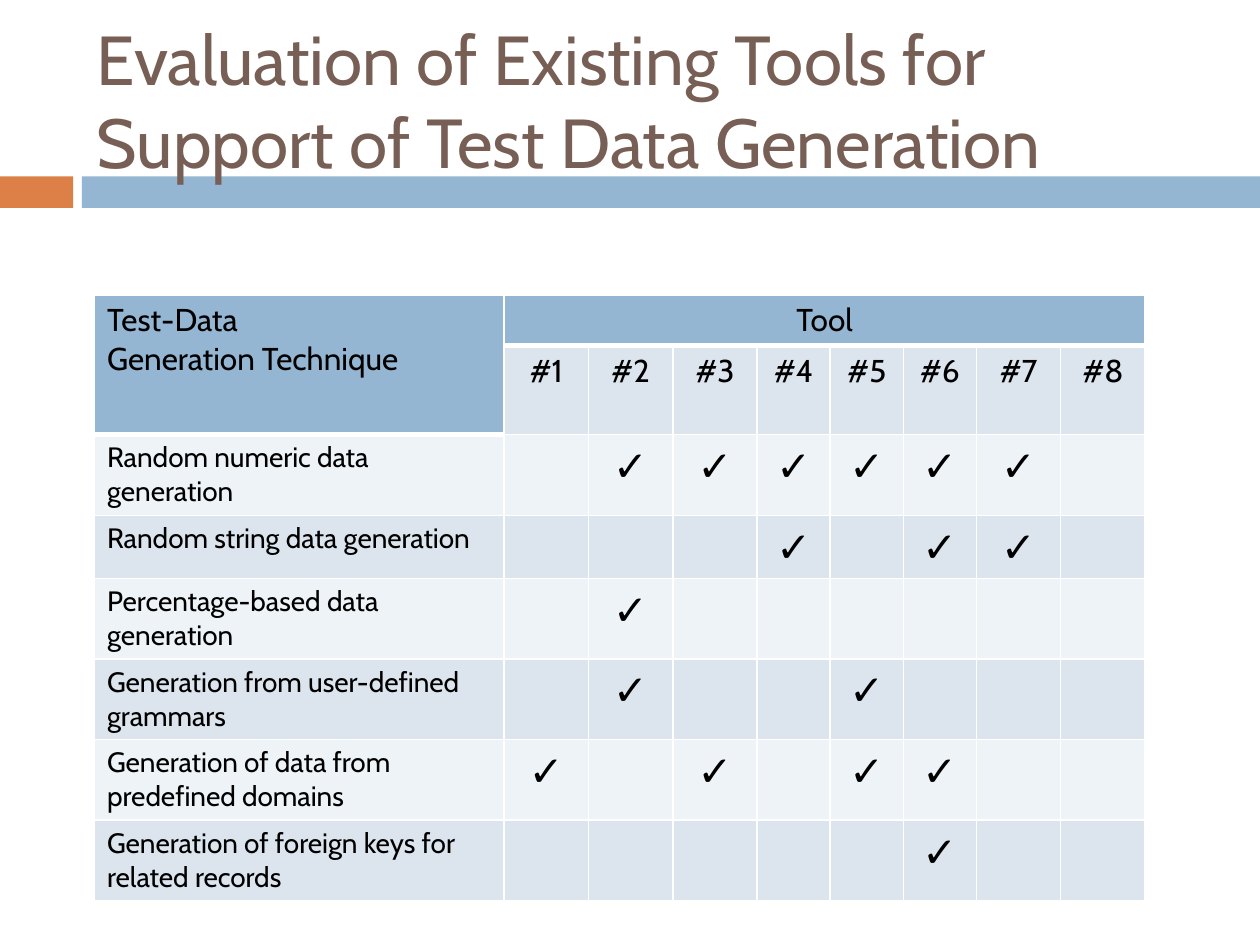
"""Build a slide that compares eight test data tools by technique."""
from lxml.etree import SubElement
from pptx import Presentation
from pptx.dml.color import RGBColor as RGB
from pptx.enum.shapes import MSO_SHAPE as SHAPE
from pptx.enum.text import MSO_ANCHOR as ANCHOR, PP_ALIGN as ALIGN
from pptx.oxml.ns import qn
from pptx.util import Inches, Pt

TITLE = "Evaluation of Existing Tools for Support of Test Data Generation"
HEAD = "Test-Data\nGeneration Technique"
TOOLS = [f"#{n}" for n in range(1, 9)]
TESTS = [
    ("Random numeric data generation", (2, 3, 4, 5, 6, 7)),
    ("Random string data generation", (4, 6, 7)),
    ("Percentage-based data generation", (2,)),
    ("Generation from user-defined grammars", (2, 5)),
    ("Generation of data from predefined domains", (1, 3, 5, 6)),
    ("Generation of foreign keys for related records", (6,)),
]
HEX = {"bar": "94B6D2", "tab": "DD8047", "title": "775F55", "ink": "000000",
       "line": "FFFFFF", "dark": "DCE5EE", "pale": "EEF3F7"}
BARS = [("tab", 0, 0.58), ("bar", 0.65, 9.35)]
COLS = [3.25] + [0.67] * 3 + [0.58] * 3 + [0.67] * 2
ROWS = [0.4, 0.71, 0.64, 0.5] + [0.64] * 4
FONT = "Cabin"


def style(frame, size, tint, align=ALIGN.LEFT):
    look = {"name": FONT, "size": Pt(size), "bold": False}
    for para in frame.paragraphs:
        para.alignment = align
        for key, val in look.items():
            setattr(para.font, key, val)
        para.font.color.rgb = RGB.from_string(HEX[tint])


def edge(cell, sides):
    props = cell._tc.get_or_add_tcPr()
    for spot, (side, width) in enumerate(sides.items()):
        line = SubElement(props, qn(f"a:ln{side}"), w=str(Pt(width)))
        fill = SubElement(line, qn("a:solidFill"))
        SubElement(fill, qn("a:srgbClr"), val=HEX["line"])
        props.insert(spot, line)


def put(cell, text, size, tint, align=ALIGN.CENTER):
    cell.fill.solid()
    cell.fill.fore_color.rgb = RGB.from_string(HEX[tint])
    cell.text = text
    style(cell.text_frame, size, "ink", align)


def draw_bars(slide):
    for tint, left, wide in BARS:
        bar = slide.shapes.add_shape(
            SHAPE.RECTANGLE, *map(Inches, (left, 1.4, wide, 0.25)))
        bar.shadow.inherit = False
        bar.fill.solid()
        bar.fill.fore_color.rgb = RGB.from_string(HEX[tint])
        bar.line.fill.background()


def draw_title(slide):
    box = slide.shapes.add_textbox(*map(Inches, (0.67, 0.25, 8.92, 1.08)))
    frame = box.text_frame
    for key, val in {"word_wrap": True, "vertical_anchor": ANCHOR.MIDDLE,
                     "text": TITLE}.items():
        setattr(frame, key, val)
    style(frame, 39.6, "title")


def draw_table(slide):
    area = map(Inches, (0.75, 2.34, sum(COLS), sum(ROWS)))
    table = slide.shapes.add_table(len(ROWS), len(COLS), *area).table
    for col, wide in zip(table.columns, COLS):
        col.width = Inches(wide)
    for row, high in zip(table.rows, ROWS):
        row.height = Inches(high)

    grid = [[HEAD, "Tool"] + [""] * 7, [""] + TOOLS]
    for name, hits in TESTS:
        grid.append([name] + ["✓" if n in hits else "" for n in range(1, 9)])
    for r, row in enumerate(grid):
        for c, text in enumerate(row):
            head = r == 0 or (r == 1 and c == 0)
            tint = "bar" if head else "dark" if r % 2 else "pale"
            size = 18 if r < 2 else 24 if c else 16
            cell = table.cell(r, c)
            put(cell, text, size, tint, ALIGN.CENTER if c else ALIGN.LEFT)
            below = r == (1 if c else 2)
            edge(cell, {"L": 1, "R": 1, "T": 3 if below else 1,
                        "B": 3 if head else 1})
    table.cell(0, 0).merge(table.cell(1, 0))
    table.cell(0, 1).merge(table.cell(0, 8))


def main():
    deck = Presentation()
    deck.slide_width, deck.slide_height = Inches(10), Inches(7.5)
    slide = deck.slides.add_slide(deck.slide_layouts[6])
    for draw in (draw_bars, draw_title, draw_table):
        draw(slide)
    deck.save("out.pptx")


if __name__ == "__main__":
    main()
